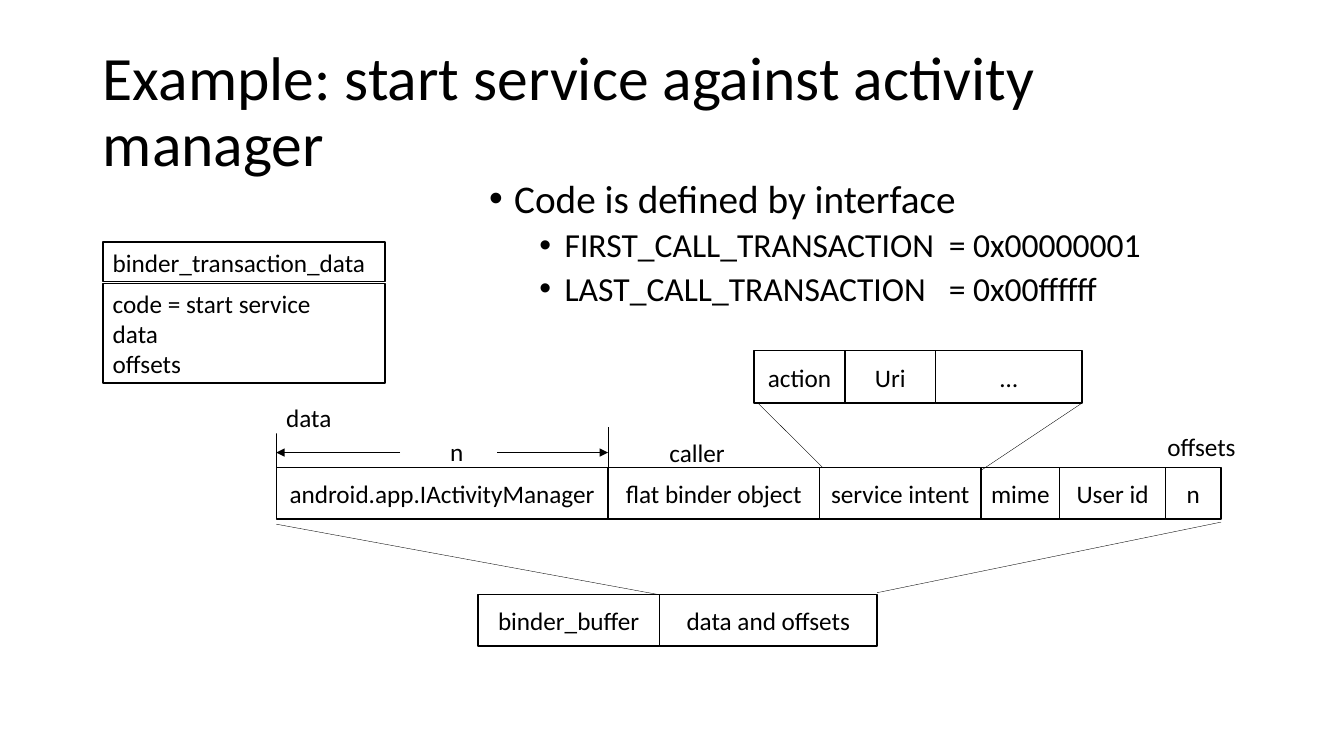
import pptx
import pptx.util
import pptx.dml.color
import pptx.enum.shapes
import pptx.enum.text
import pptx.oxml
import pptx.oxml.ns
import lxml.etree
from pptx.util import Inches

COLORS = {"ink": "000000", "paper": "FFFFFF"}
FONT = "Calibri"
ALIGN = pptx.enum.text.PP_ALIGN
ANCHOR = pptx.enum.text.MSO_ANCHOR


def rgb(name):
    return pptx.dml.color.RGBColor.from_string(COLORS[name])


def add_xml(parent, tag, **attrs):
    return lxml.etree.SubElement(parent, pptx.oxml.ns.qn(tag), attrs)


def style_runs(p, size):
    for r in p.runs:
        r.font.name = FONT
        r.font.size = pptx.util.Pt(size)
        r.font.color.rgb = rgb("ink")


def add_box(slide, box, text, align=ALIGN.CENTER, anchor=ANCHOR.MIDDLE,
            fill=True, border=True, wrap=False):
    sp = slide.shapes.add_shape(pptx.enum.shapes.MSO_SHAPE.RECTANGLE,
                                *[Inches(v) for v in box])
    sp.shadow.inherit = False
    if fill:
        sp.fill.solid()
        sp.fill.fore_color.rgb = rgb("paper")
    else:
        sp.fill.background()
    if border:
        sp.line.color.rgb = rgb("ink")
        sp.line.width = pptx.util.Pt(1)
    else:
        sp.line.fill.background()
    tf = sp.text_frame
    tf.text = text
    tf.word_wrap = wrap
    tf.vertical_anchor = anchor
    for p in tf.paragraphs:
        p.alignment = align
        style_runs(p, 18)
    return sp


def add_label(slide, box, text, align=ALIGN.LEFT):
    return add_box(slide, box, text, align, border=False, wrap=True)


def add_line(slide, start, end, width, arrow=False):
    line = slide.shapes.add_connector(pptx.enum.shapes.MSO_CONNECTOR.STRAIGHT,
                                      *[Inches(v) for v in start + end])
    line.line.color.rgb = rgb("ink")
    line.line.width = pptx.util.Pt(width)
    if arrow:
        add_xml(line.line._get_or_add_ln(), "a:tailEnd", type="triangle")
    add_xml(line._element.spPr, "a:effectLst")


def add_cells(slide, left, top, height, cells):
    """Place bordered cells side by side, given as (text, width)."""
    for text, width in cells:
        add_box(slide, (left, top, width, height), text)
        left += width


def place(sp, box):
    sp.left, sp.top, sp.width, sp.height = [Inches(v) for v in box]
    sp.text_frame.word_wrap = True
    sp.text_frame.auto_size = pptx.enum.text.MSO_AUTO_SIZE.NONE


def fill_title(sp, box):
    place(sp, box)
    tf = sp.text_frame
    tf.text = "Example: start service against activity manager"
    tf.vertical_anchor = ANCHOR.MIDDLE
    p = tf.paragraphs[0]
    p.alignment = ALIGN.LEFT
    p.line_spacing = 0.9
    style_runs(p, 44)


def fill_bullets(sp, box):
    place(sp, box)
    tf = sp.text_frame
    tf.text = "\n".join(["Code is defined by interface",
                         "FIRST_CALL_TRANSACTION\t= 0x00000001",
                         "LAST_CALL_TRANSACTION\t= 0x00ffffff"])
    tf.vertical_anchor = ANCHOR.TOP
    for i, p in enumerate(tf.paragraphs):
        p.level = min(i, 1)
        indent, size, before = [(0.25, 28, 10), (0.75, 24, 5)][p.level]
        p.line_spacing = 0.9
        p.space_before = pptx.util.Pt(before)
        style_runs(p, size)
        pPr = p._p.get_or_add_pPr()
        pPr.set("marL", str(Inches(indent)))
        pPr.set("indent", str(Inches(-0.25)))
        add_xml(pPr, "a:buFont", typeface="Arial")
        add_xml(pPr, "a:buChar", char="•")
        if p.level:
            # Aligns the equals signs whether stops count from the edge or the indent
            tabs = add_xml(pPr, "a:tabLst")
            for stop in (4.56 - indent, 4.56):
                add_xml(tabs, "a:tab", pos=str(Inches(stop)), algn="l")


def add_transaction_record(slide, left, top, width):
    for dy, height, text in [(0, 0.39, "binder_transaction_data"),
                             (0.41, 0.99, "code = start service\ndata\noffsets")]:
        add_box(slide, (left, top + dy, width, height), text, ALIGN.LEFT,
                ANCHOR.TOP, fill=False, wrap=True)


def add_data_row(slide, left, top):
    first = 3.29
    add_cells(slide, left, top, 0.51,
              [("android.app.IActivityManager", first), ("flat binder object", 2.1),
               ("service intent", 1.6), ("mime", 0.78), ("User id", 1.05), ("n", 0.55)])
    right = left + first
    for x, rise in [(left, 0.45), (right, 0.4)]:
        add_line(slide, (x, top - rise), (x, top + 0.03), 0.5)
    for start, end in [(left + 1.23, left), (right - 1.1, right)]:
        add_line(slide, (start, top - 0.15), (end, top - 0.15), 0.5, arrow=True)
    add_label(slide, (left + 1.44, top - 0.32, 0.7, 0.31), "n", ALIGN.CENTER)
    add_label(slide, (left, top - 0.65, 0.7, 0.31), "data")
    add_label(slide, (left + 3.8, top - 0.21, 0.98, 0.12), "caller")
    add_label(slide, (left + 8.74, top - 0.37, 0.93, 0.31), "offsets")


def add_intent_row(slide, left, top):
    add_cells(slide, left, top, 0.52,
              [("action", 0.9), ("Uri", 0.9), ("…", 1.45)])
    bottom = top + 0.52
    add_line(slide, (left + 0.04, bottom), (left + 0.68, bottom + 0.64), 0.25)
    add_line(slide, (left + 3.25, bottom), (left + 2.26, bottom + 0.66), 0.25)


def add_buffer_row(slide, left, top):
    add_cells(slide, left, top, 0.51,
              [("binder_buffer", 1.8), ("data and offsets", 2.16)])
    add_line(slide, (left - 2, top - 0.7), (left + 1.8, top), 0.25)
    add_line(slide, (left + 7.37, top - 0.72), (left + 3.96, top - 0.02), 0.25)


def main():
    prs = pptx.Presentation()
    prs.slide_width, prs.slide_height = Inches(13.33), Inches(7.5)
    slide = prs.slides.add_slide(prs.slide_layouts[1])
    fill_title(slide.shapes.title, (0.92, 0.4, 11.74, 1.45))
    fill_bullets(slide.placeholders[1], (4.75, 1.73, 6.73, 2.04))
    add_transaction_record(slide, 1.02, 2.4, 2.8)
    add_data_row(slide, 2.74, 4.64)
    add_intent_row(slide, 7.48, 3.48)
    add_buffer_row(slide, 4.74, 5.9)
    prs.save("out.pptx")


if __name__ == "__main__":
    main()
